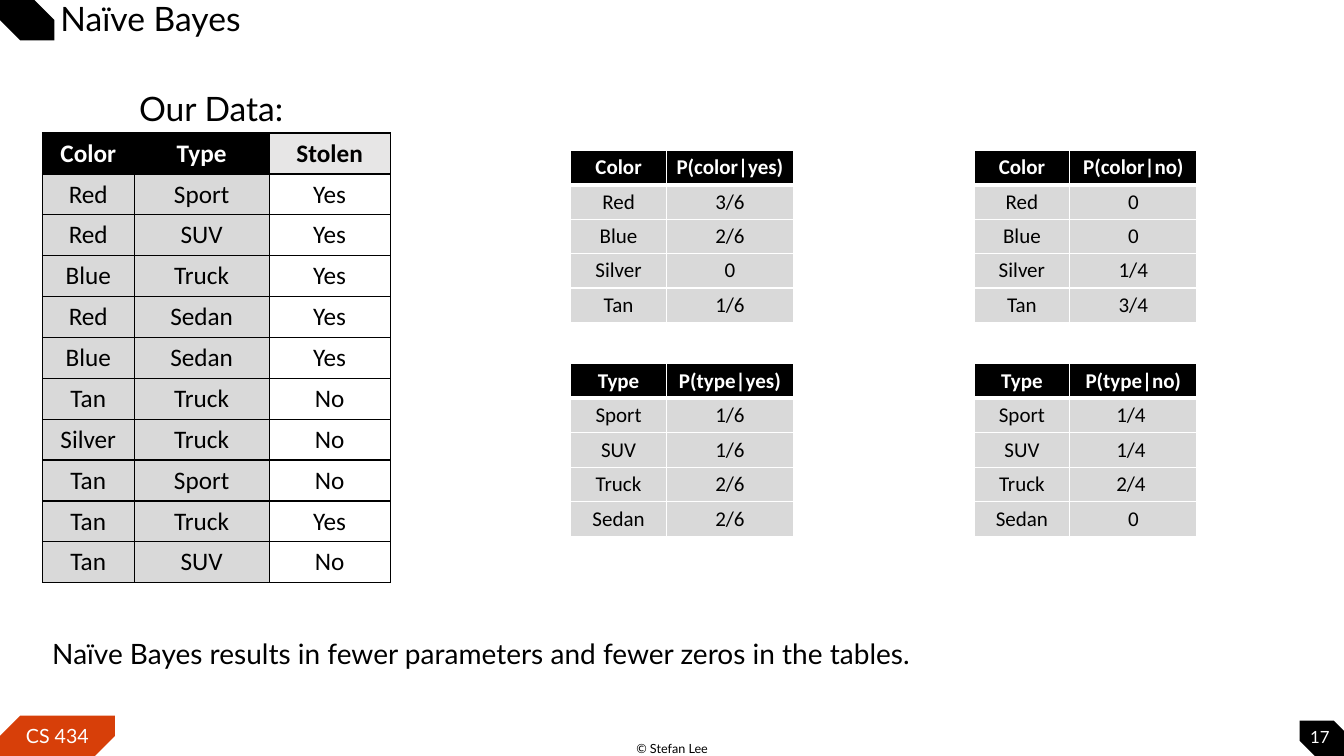
import lxml.etree
import pptx
import pptx.dml.color
import pptx.enum.shapes
import pptx.enum.text
import pptx.oxml.ns
import pptx.util

WIDTH = pptx.util.Inches(13.33)
HEIGHT = pptx.util.Inches(7.5)
COLORS = {
    "black": "000000",
    "white": "FFFFFF",
    "orange": "D73F09",
    "gray": "D9D9D9",
    "pale": "E7E6E6",
}
LEFT = pptx.enum.text.PP_ALIGN.LEFT
CENTER = pptx.enum.text.PP_ALIGN.CENTER
TOP = pptx.enum.text.MSO_ANCHOR.TOP
MIDDLE = pptx.enum.text.MSO_ANCHOR.MIDDLE

CARS = [
    ("Color", "Type", "Stolen"),
    ("Red", "Sport", "Yes"),
    ("Red", "SUV", "Yes"),
    ("Blue", "Truck", "Yes"),
    ("Red", "Sedan", "Yes"),
    ("Blue", "Sedan", "Yes"),
    ("Tan", "Truck", "No"),
    ("Silver", "Truck", "No"),
    ("Tan", "Sport", "No"),
    ("Tan", "Truck", "Yes"),
    ("Tan", "SUV", "No"),
]
FEATURES = {
    "Color": ("Red", "Blue", "Silver", "Tan"),
    "Type": ("Sport", "SUV", "Truck", "Sedan"),
}
PROBABILITIES = {
    ("Color", "yes"): ("3/6", "2/6", "0", "1/6"),
    ("Type", "yes"): ("1/6", "1/6", "2/6", "2/6"),
    ("Color", "no"): ("0", "0", "1/4", "3/4"),
    ("Type", "no"): ("1/4 ", "1/4 ", "2/4 ", "0"),
}
TABLE_LEFT = {"yes": 42.46, "no": 72.47}
TABLE_TOP = {"Color": 19.87, "Type": 48.13}


def across(percent):
    return round(WIDTH * percent / 100)


def down(percent):
    return round(HEIGHT * percent / 100)


def place(left, top, width, height):
    return across(left), down(top), across(width), down(height)


def rgb(name):
    return pptx.dml.color.RGBColor.from_string(COLORS[name])


def write(frame, text, size, color, align=CENTER, font="Lato", bold=False):
    paragraph = frame.paragraphs[0]
    paragraph.alignment = align
    run = paragraph.add_run()
    run.text = text
    run.font.size = pptx.util.Pt(size)
    run.font.name = font
    run.font.bold = bold
    run.font.color.rgb = rgb(color)
    return paragraph


def add_badge(slide, box, color, flipped=False):
    kind = pptx.enum.shapes.MSO_SHAPE.SNIP_2_DIAG_RECTANGLE
    shape = slide.shapes.add_shape(kind, *place(*box))
    shape.adjustments[0] = 0.5
    shape.adjustments[1] = 0
    shape.shadow.inherit = False
    shape.fill.solid()
    shape.fill.fore_color.rgb = rgb(color)
    shape.line.fill.background()
    if flipped:
        shape._element.spPr.find(pptx.oxml.ns.qn("a:xfrm")).set("flipH", "1")
    return shape


def add_text(slide, box, text, size, color="black", align=CENTER, anchor=TOP,
             margins=(0.1, 0.05, 0.1, 0.05)):
    frame = slide.shapes.add_textbox(*place(*box)).text_frame
    frame.word_wrap = True
    frame.vertical_anchor = anchor
    set_margins(frame, margins)
    return write(frame, text, size, color, align)


def set_margins(target, margins):
    sides = ("margin_left", "margin_top", "margin_right", "margin_bottom")
    for side, margin in zip(sides, margins):
        setattr(target, side, pptx.util.Inches(margin))


def set_borders(cell, color, top=1, bottom=1):
    properties = cell._tc.get_or_add_tcPr()
    qn = pptx.oxml.ns.qn
    for side, points in (("L", 1), ("R", 1), ("T", top), ("B", bottom)):
        line = lxml.etree.SubElement(properties, qn(f"a:ln{side}"),
                                     w=str(pptx.util.Pt(points)))
        fill = lxml.etree.SubElement(line, qn("a:solidFill"))
        lxml.etree.SubElement(fill, qn("a:srgbClr"), val=COLORS[color])


def add_grid(slide, left, top, columns, row_height, rows, size, margins,
             border, rule, last_fills=None):
    box = place(left, top, sum(columns), row_height * len(rows))
    table = slide.shapes.add_table(len(rows), len(columns), *box).table
    table.horz_banding = False
    for column, width in zip(table.columns, columns):
        column.width = across(width)
    for r, values in enumerate(rows):
        table.rows[r].height = down(row_height)
        header = r == 0
        for c, value in enumerate(values):
            cell = table.cell(r, c)
            color, fill = ("white", "black") if header else ("black", "gray")
            if last_fills and c == len(columns) - 1:
                color, fill = "black", last_fills[0 if header else 1]
            cell.vertical_anchor = MIDDLE
            set_margins(cell, margins)
            set_borders(cell, border, top=rule if r == 1 else 1,
                        bottom=rule if header else 1)
            cell.fill.solid()
            cell.fill.fore_color.rgb = rgb(fill)
            write(cell.text_frame, value, size, color, font="Calibri",
                  bold=header)


def add_probability_table(slide, feature, outcome):
    header = (feature, f"P({feature.lower()}|{outcome})")
    values = zip(FEATURES[feature], PROBABILITIES[feature, outcome])
    add_grid(slide, TABLE_LEFT[outcome], TABLE_TOP[feature], (7.13, 9.45),
             4.56, [header, *values], 15, (0.08, 0.04, 0.08, 0.04),
             "white", 3)


def main():
    presentation = pptx.Presentation()
    presentation.slide_width = WIDTH
    presentation.slide_height = HEIGHT
    slide = presentation.slides.add_slide(presentation.slide_layouts[6])

    add_badge(slide, (96.7, 95.33, 4.05, 5.33), "black", flipped=True)
    course = add_badge(slide, (0, 94.67, 8.55, 5.33), "orange")
    course.text_frame.vertical_anchor = MIDDLE
    write(course.text_frame, "CS 434", 14, "white")
    add_badge(slide, (0, 0, 4.05, 5.33), "black", flipped=True)

    add_text(slide, (45.99, 97.33, 8.03, 3.33), "© Stefan Lee", 9)
    title = add_text(slide, (0, 0.13, 84.92, 5.2), "Naïve Bayes", 24,
                     align=LEFT, anchor=MIDDLE,
                     margins=(0.6, 0.05, 0.05, 0.05))
    title.line_spacing = 0.9
    add_text(slide, (96.7, 95.33, 3, 4.13), "17", 12, "white",
             anchor=MIDDLE, margins=(0, 0, 0, 0))

    add_grid(slide, 3.15, 17.6, (6.83, 10.05, 9), 5.41, CARS, 18,
             (0.1, 0.05, 0.1, 0.05), "black", 1, ("pale", "white"))
    add_text(slide, (6, 10.93, 19.43, 6.67), "Our Data:", 24)
    for feature, outcome in PROBABILITIES:
        add_probability_table(slide, feature, outcome)
    add_text(slide, (3.15, 83.6, 91.67, 5.87),
             "Naïve Bayes results in fewer parameters and fewer zeros "
             "in the tables.", 20, align=LEFT)

    presentation.save("out.pptx")


if __name__ == "__main__":
    main()
